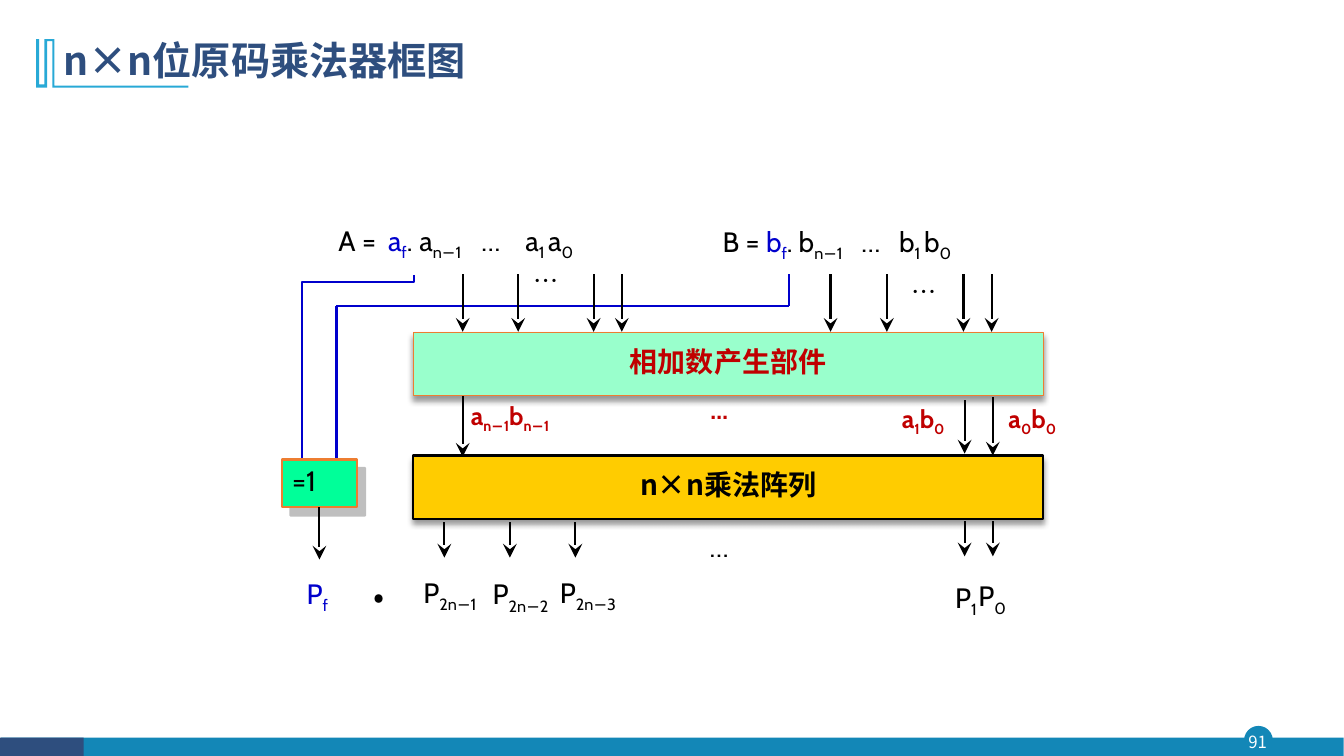
from lxml import etree
from pptx import Presentation
from pptx.dml.color import RGBColor
from pptx.enum.shapes import MSO_CONNECTOR, MSO_SHAPE
from pptx.enum.text import MSO_ANCHOR, PP_ALIGN
from pptx.oxml.ns import qn
from pptx.util import Cm, Pt

STRAIGHT = MSO_CONNECTOR.STRAIGHT
RECTANGLE, OVAL = MSO_SHAPE.RECTANGLE, MSO_SHAPE.OVAL
TOP, MIDDLE = MSO_ANCHOR.TOP, MSO_ANCHOR.MIDDLE
LEFT, CENTER = PP_ALIGN.LEFT, PP_ALIGN.CENTER
CABIN, NOTO = "Cabin", "Noto Sans CJK SC"
BLACK, BLUE, RED, WHITE = "000000", "0000CC", "C00000", "FFFFFF"
TEAL, NAVY, CYAN, ORANGE = "1387B7", "2E4E7E", "28A9D6", "ED7D31"
SOFT_SHADOW = (BLACK, 40, 4, 3, 90)
HARD_SHADOW = ("808080", 50, 0, 8.5, 45)
BOTTOM_SIDE = 2


def rgb(color):
    return RGBColor.from_string(color)


def alternate(parts, color):
    return [(part, color, index % 2 == 1) for index, part in enumerate(parts)]


def write(box, spans, size, font, bold=False, align=CENTER, anchor=TOP,
          inset=(0, 0), spacing=0.8, tabs=()):
    frame = box.text_frame
    frame.word_wrap = True
    frame.vertical_anchor = anchor
    frame.margin_left = frame.margin_right = Cm(inset[0])
    frame.margin_top = frame.margin_bottom = Cm(inset[1])
    para = frame.paragraphs[0]
    if tabs:
        tab_list = etree.SubElement(para._p.get_or_add_pPr(), qn("a:tabLst"))
        for stop in tabs:
            etree.SubElement(tab_list, qn("a:tab"), pos=str(Cm(stop)), algn="l")
    para.alignment = align
    para.line_spacing = spacing
    for text, color, subscript in spans:
        span = para.add_run()
        span.text = text
        span.font.size = Pt(size)
        span.font.bold = bold
        span.font.name = font
        span.font.color.rgb = rgb(color)
        properties = span._r.get_or_add_rPr()
        etree.SubElement(properties, qn("a:ea"), typeface=font)
        if subscript:
            properties.set("baseline", "-25000")


def add_text(page, left, top, width, height, spans, size, font, **options):
    box = page.shapes.add_textbox(Cm(left), Cm(top), Cm(width), Cm(height))
    write(box, spans, size, font, **options)


def add_shadow(shape, color, opacity, blur, distance, angle):
    effects = shape._element.spPr.find(qn("a:effectLst"))
    shadow = etree.SubElement(
        effects, qn("a:outerShdw"), blurRad=str(Pt(blur)), dist=str(Pt(distance)),
        dir=str(angle * 60000), algn="ctr", rotWithShape="0")
    tint = etree.SubElement(shadow, qn("a:srgbClr"), val=color)
    etree.SubElement(tint, qn("a:alpha"), val=str(opacity * 1000))


def add_block(page, kind, left, top, width, height, fill, line=None, weight=1,
              shadow=None):
    block = page.shapes.add_shape(kind, Cm(left), Cm(top), Cm(width), Cm(height))
    block.shadow.inherit = False
    block.fill.solid()
    block.fill.fore_color.rgb = rgb(fill)
    if line:
        block.line.color.rgb = rgb(line)
        block.line.width = Pt(weight)
    else:
        block.line.fill.background()
    if shadow:
        add_shadow(block, *shadow)
    return block


def add_line(page, start, end, color=BLACK, arrow=False):
    line = page.shapes.add_connector(STRAIGHT, *map(Cm, start + end))
    line.line.color.rgb = rgb(color)
    line.line.width = Pt(1.5)
    if arrow:
        etree.SubElement(line.line._get_or_add_ln(), qn("a:tailEnd"),
                         type="stealth", w="lg", len="lg")
    etree.SubElement(line._element.spPr, qn("a:effectLst"))
    return line


def add_arrow(page, x, top, bottom):
    return add_line(page, (x, top), (x, bottom), arrow=True)


def add_outline(page, points, closed):
    corners = [(Cm(x), Cm(y)) for x, y in points]
    builder = page.shapes.build_freeform(*corners[0])
    builder.add_line_segments(corners[1:], close=closed)
    outline = builder.convert_to_shape()
    outline.shadow.inherit = False
    return outline


def add_frame(page):
    add_block(page, OVAL, 31.37, 18.31, 0.69, 0.69, TEAL, TEAL)
    add_block(page, RECTANGLE, 0.03, 18.59, 33.83, 0.46, TEAL)
    add_block(page, RECTANGLE, 0, 18.59, 2.11, 0.46, NAVY)
    add_text(page, 31.29, 18.36, 0.81, 0.69, [("91", WHITE, False)], 12, NOTO,
             anchor=MIDDLE, spacing=1.0)
    ornament = add_outline(page, [
        (1.37, 0.99), (1.37, 2.16), (4.75, 2.16), (4.75, 2.21), (1.32, 2.21),
        (1.32, 1.04), (1.19, 1.04), (1.19, 2.21), (0.91, 2.21), (0.91, 0.99),
        (0.99, 0.99), (0.99, 2.13), (1.12, 2.13), (1.12, 0.99)], True)
    ornament.fill.solid()
    ornament.fill.fore_color.rgb = rgb(CYAN)
    ornament.line.fill.background()
    add_text(page, 1.35, 0.71, 29.21, 1.73, [("n×n位原码乘法器框图", NAVY, False)],
             28, NOTO, bold=True, align=LEFT, anchor=MIDDLE,
             inset=(0.25, 0.13), spacing=0.9)


def add_sign_wires(page):
    wire = add_outline(
        page, [(10.44, 6.93), (10.44, 7.11), (7.62, 7.11), (7.62, 11.61)], False)
    wire.fill.background()
    wire.line.color.rgb = rgb(BLUE)
    wire.line.width = Pt(1.5)
    corners = [(8.48, 12.32), (8.48, 7.72), (19.89, 7.72), (19.89, 6.91)]
    for start, end in zip(corners, corners[1:]):
        add_line(page, start, end, BLUE)


def add_operand(page, left, top, opening, letter, tabs):
    spans = [(opening, BLACK, False)] + alternate([letter, "f"], BLUE)
    spans += alternate([".\t" + letter, "n−1\t", "…\t" + letter, "1 ", letter, "0"],
                       BLACK)
    add_text(page, left, top, 9.2, 1.2, spans, 20, CABIN, align=LEFT, tabs=tabs)


def add_sign_unit(page):
    gate = add_block(page, RECTANGLE, 7.11, 11.58, 1.88, 1.2, "00FF99", ORANGE, 1.5,
                     HARD_SHADOW)
    write(gate, [("=1", BLACK, False)], 20, CABIN, align=LEFT, anchor=MIDDLE,
          inset=(0.25, 0.13))
    add_arrow(page, 8.05, 12.78, 14.1).begin_connect(gate, BOTTOM_SIDE)
    add_text(page, 7.44, 14.61, 1.12, 1.04, alternate(["P", "f"], BLUE), 20, CABIN)
    add_text(page, 9.02, 14, 1.09, 1.12, [(".", BLACK, False)], 44, NOTO)


def main():
    deck = Presentation()
    deck.slide_width, deck.slide_height = Cm(33.87), Cm(19.05)
    page = deck.slides.add_slide(deck.slide_layouts[6])
    add_frame(page)
    add_sign_wires(page)

    adder = add_block(page, RECTANGLE, 10.41, 8.38, 15.88, 1.6, "99FFCC", ORANGE,
                      0.75, SOFT_SHADOW)
    write(adder, [("相加数产生部件", RED, False)], 20, NOTO, bold=True,
          anchor=MIDDLE, inset=(0.25, 0.13))
    add_operand(page, 8.53, 5.72, "A =\t", "a", (1.25, 2.04, 3.6, 4.71))
    add_operand(page, 18.21, 5.74, "B = ", "b", (1.92, 3.5, 4.45))

    for x in (11.66, 13.06, 14.96, 15.67, 20.93, 22.35, 24.28, 24.99):
        add_arrow(page, x, 6.91, 8.36)
    for left, top in ((13.03, 6.83), (22.56, 7.11)):
        add_text(page, left, top, 1.45, 1.12, [("…", BLACK, False)], 18, NOTO)

    for x, top, bottom in ((25.02, 10.01, 11.48), (11.66, 9.98, 11.51),
                           (24.31, 10.08, 11.43)):
        add_arrow(page, x, top, bottom)
    for left, top, width, parts in (
            (11.33, 10.16, 3.05, ["a", "n−1", "b", "n−1"]),
            (15.98, 10.08, 4.29, ["…"]),
            (22.4, 10.24, 1.73, ["a", "1", "b", "0"]),
            (25.15, 10.24, 1.73, ["a", "0", "b", "0"])):
        add_text(page, left, top, width, 1.12, alternate(parts, RED), 18, CABIN,
                 bold=True)

    add_sign_unit(page)
    for x in (11.2, 12.85, 14.5):
        add_arrow(page, x, 13.16, 14.05)
    for x in (24.31, 25.02):
        add_arrow(page, x, 13.13, 14.02)
    for left, top, width, parts in (
            (15.98, 13.51, 4.29, ["…"]),
            (10.31, 14.58, 2.06, ["P", "2n−1"]),
            (12.09, 14.63, 2.06, ["P", "2n−2"]),
            (13.79, 14.58, 2.06, ["P", "2n−3"]),
            (23.8, 14.71, 1.09, ["P", "1"]),
            (24.46, 14.68, 1.09, ["P", "0"])):
        add_text(page, left, top, width, 1.12, alternate(parts, BLACK), 20, CABIN)

    array = add_block(page, RECTANGLE, 10.41, 11.48, 15.88, 1.6, "FFCC00", BLACK,
                      1.5, SOFT_SHADOW)
    write(array, [("n×n乘法阵列", BLACK, False)], 20, NOTO, bold=True, anchor=MIDDLE)
    deck.save("out.pptx")


if __name__ == "__main__":
    main()
